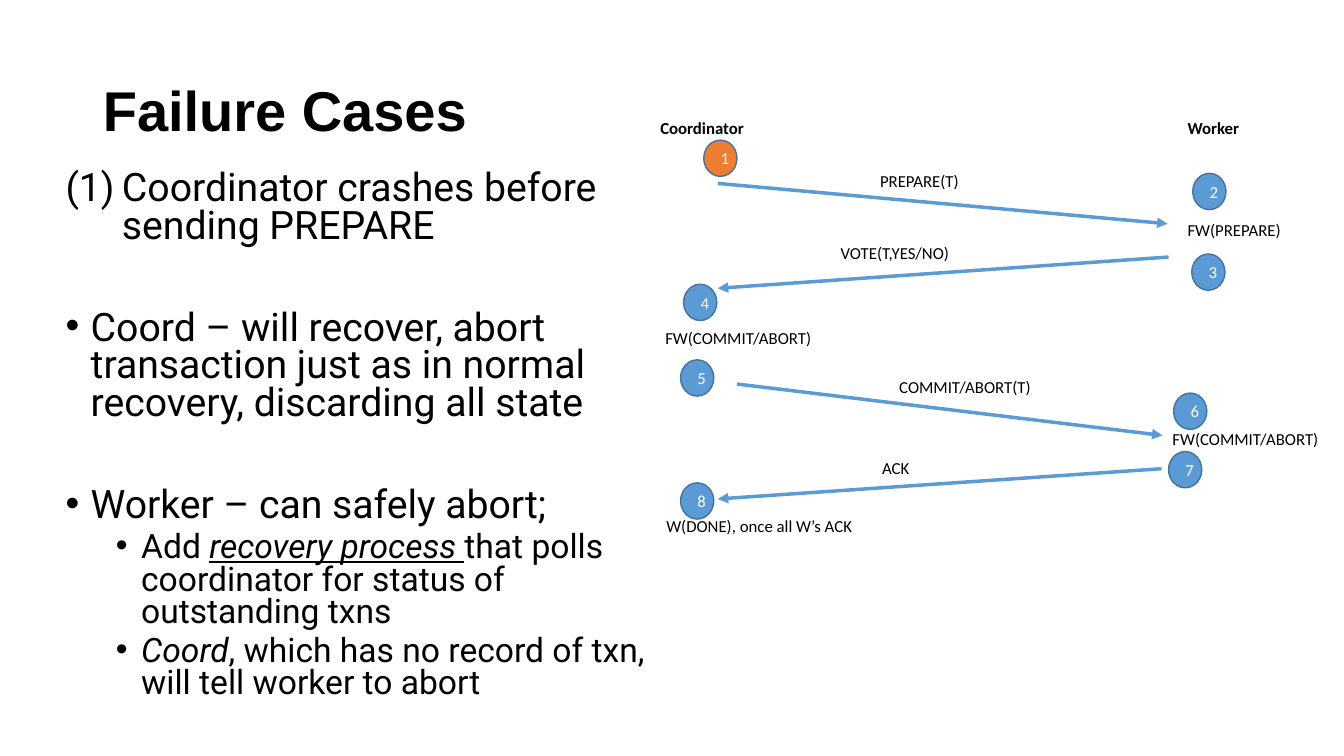
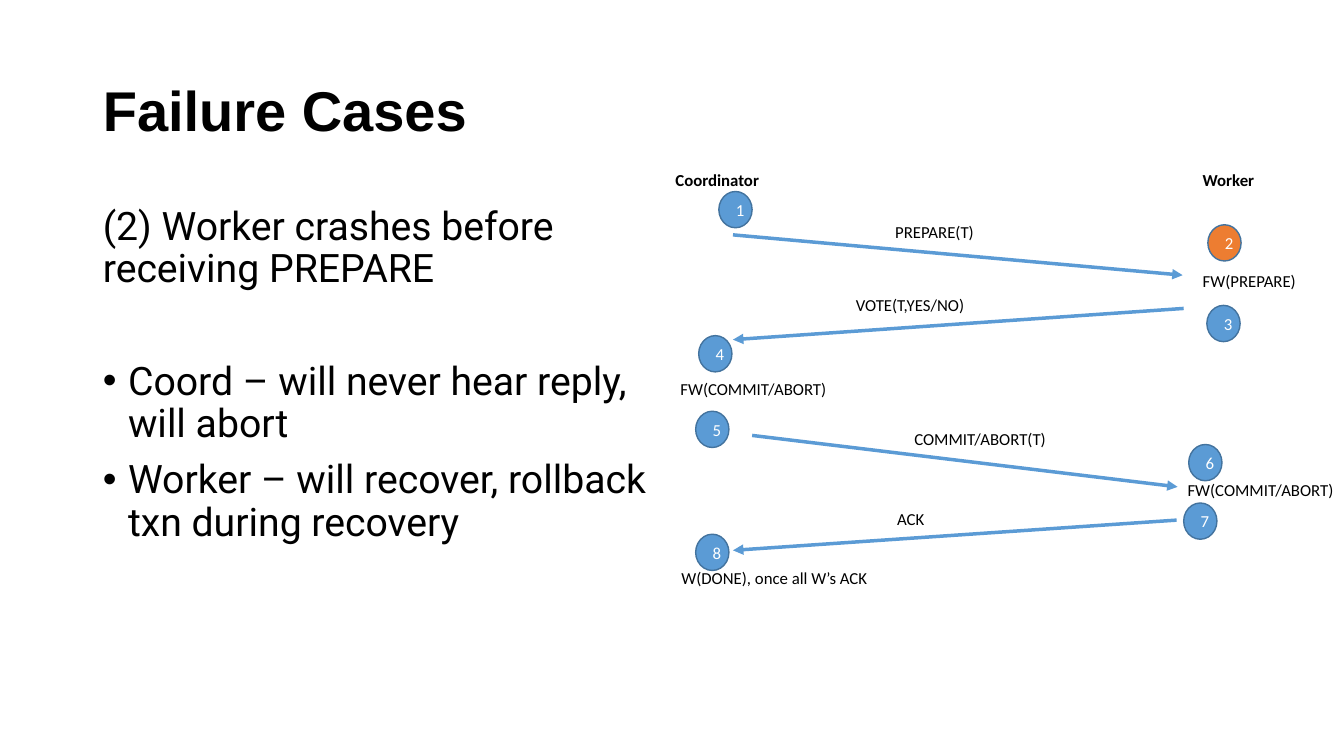
"""Build two slides on failure cases in two-phase commit."""
from dataclasses import dataclass

from lxml import etree
from pptx import Presentation
from pptx.dml.color import RGBColor
from pptx.enum import shapes, text
from pptx.oxml import ns
from pptx.util import Inches, Pt


@dataclass(frozen=True)
class Theme:
    ink: RGBColor = RGBColor(0, 0, 0)
    white: RGBColor = RGBColor(255, 255, 255)
    blue: RGBColor = RGBColor.from_string("5B9BD5")
    edge: RGBColor = RGBColor.from_string("43739E")
    failed: RGBColor = RGBColor.from_string("ED7D31")
    title_font: str = "Arial"
    body_font: str = "Roboto"
    label_font: str = "Calibri"
    title_size: int = 40
    body_sizes: tuple = (28, 24)
    label_size: int = 12


THEME = Theme()
TITLE = "Failure Cases"
TITLE_BOX = (0.92, 0.4, 11.5, 1.45)

NUMBER = ("buAutoNum", {"type": "arabicParenBoth"})
BULLET = ("buChar", {"char": "•"})
PLAIN = ("buNone", {})

# Each paragraph: level, marker, left margin, hanging indent, space before, runs.
SLIDES = [
    {
        "body_box": (0.55, 1.65, 6.23, 5.64),
        "line_spacing": 0.8,
        "origin": (6.45, 1.12),
        "failed_step": 1,
        "body": [
            (0, NUMBER, 0.56, 0.56, 10, [("Coordinator crashes before sending PREPARE", "")]),
            (0, BULLET, 0.25, 0.25, 46, [
                ("Coord – will recover, abort transaction just as in normal recovery, discarding all state", "")]),
            (0, BULLET, 0.25, 0.25, 46, [("Worker – can safely abort;", "")]),
            (1, BULLET, 0.75, 0.25, 5, [
                ("Add ", ""), ("recovery process ", "iu"),
                ("that polls coordinator for status of outstanding txns", "")]),
            (1, BULLET, 0.75, 0.25, 5, [
                ("Coord", "i"), (", which has no record of txn, will tell worker to abort", "")]),
        ],
    },
    {
        "body_box": (0.92, 2, 5.75, 4.76),
        "line_spacing": 0.9,
        "origin": (6.6, 1.63),
        "failed_step": 2,
        "body": [
            (0, PLAIN, 0, 0, 10, [("(2) Worker crashes before receiving PREPARE", "")]),
            (0, BULLET, 0.25, 0.25, 50, [("Coord – will never hear reply, will abort", "")]),
            (0, BULLET, 0.25, 0.25, 10, [("Worker – will recover, rollback txn during recovery", "")]),
        ],
    },
]

# Diagram positions are offsets from each slide's origin.
LABELS = [
    ("Coordinator", 0, 0, 2.08, True),
    ("Worker", 5.23, 0, 1.04, True),
    ("PREPARE(T)", 2.18, 0.52, 2.04, False),
    ("FW(PREPARE)", 5.23, 1.01, 1.2, False),
    ("VOTE(T,YES/NO)", 1.79, 1.24, 2.04, False),
    ("FW(COMMIT/ABORT)", 0.05, 2.08, 2.04, False),
    ("COMMIT/ABORT(T)", 2.37, 2.57, 1.85, False),
    ("FW(COMMIT/ABORT)", 5.08, 3.08, 1.66, False),
    ("W(DONE), once all W’s ACK", 0.06, 3.95, 2.49, False),
    ("ACK", 2.2, 3.37, 1.85, False),
]
MESSAGES = [
    (0.67, 0.7, 5.13, 1.1),
    (5.14, 1.43, 0.67, 1.74),
    (0.86, 2.69, 5.08, 3.2),
    (5.07, 3.53, 0.67, 3.83),
]
STEPS = [
    (0.53, 0.27), (5.38, 0.6), (5.37, 1.4), (0.33, 1.7),
    (0.3, 2.45), (5.19, 2.78), (5.14, 3.36), (0.3, 3.67),
]
STEP_SIZE = (0.33, 0.36)
LABEL_HEIGHT = 0.3


def inches(values):
    return [Inches(v) for v in values]


def place(shape, box):
    shape.left, shape.top, shape.width, shape.height = inches(box)
    shape.text_frame.auto_size = text.MSO_AUTO_SIZE.NONE
    shape.text_frame.word_wrap = True


def set_font(p, name, size, color, bold=False):
    p.font.name, p.font.size, p.font.bold = name, Pt(size), bold
    p.font.color.rgb = color


def set_marker(p, marker, margin, hanging):
    props = p._p.get_or_add_pPr()
    props.set("marL", str(Inches(margin)))
    props.set("indent", str(-Inches(hanging)))
    tag, attributes = marker
    etree.SubElement(props, ns.qn("a:" + tag), attributes)


def add_title(s):
    title = s.shapes.title
    place(title, TITLE_BOX)
    title.text_frame.vertical_anchor = text.MSO_ANCHOR.MIDDLE
    p = title.text_frame.paragraphs[0]
    p.text, p.alignment, p.line_spacing = TITLE, text.PP_ALIGN.LEFT, 0.9
    set_font(p, THEME.title_font, THEME.title_size, THEME.ink, True)


def add_body(s, content):
    body = s.placeholders[1]
    place(body, content["body_box"])
    tf = body.text_frame
    for i, (level, marker, margin, hanging, before, runs) in enumerate(content["body"]):
        p = tf.add_paragraph() if i else tf.paragraphs[0]
        p.level, p.line_spacing, p.space_before = level, content["line_spacing"], Pt(before)
        set_marker(p, marker, margin, hanging)
        set_font(p, THEME.body_font, THEME.body_sizes[level], THEME.ink)
        for words, style in runs:
            r = p.add_run()
            r.text = words
            if "i" in style:
                r.font.italic = True
            if "u" in style:
                r.font.underline = True


def add_label(s, words, x, y, width, bold):
    box = s.shapes.add_textbox(*inches((x, y, width, LABEL_HEIGHT)))
    box.text_frame.word_wrap = True
    p = box.text_frame.paragraphs[0]
    p.text = words
    set_font(p, THEME.label_font, THEME.label_size, THEME.ink, bold)


def add_message(s, *ends):
    arrow = s.shapes.add_connector(shapes.MSO_CONNECTOR.STRAIGHT, *inches(ends))
    arrow.line.color.rgb, arrow.line.width = THEME.blue, Pt(2.5)
    etree.SubElement(arrow.line._get_or_add_ln(), ns.qn("a:tailEnd"), type="triangle")
    etree.SubElement(arrow._element.spPr, ns.qn("a:effectLst"))


def add_step(s, number, x, y, fill):
    step = s.shapes.add_shape(shapes.MSO_SHAPE.OVAL, *inches((x, y, *STEP_SIZE)))
    step.shadow.inherit = False
    step.fill.solid()
    step.fill.fore_color.rgb = fill
    step.line.color.rgb, step.line.width = THEME.edge, Pt(1)
    tf = step.text_frame
    tf.margin_left, tf.margin_right = Inches(0.12), Inches(0.07)
    tf.vertical_anchor = text.MSO_ANCHOR.MIDDLE
    p = tf.paragraphs[0]
    p.text, p.alignment = str(number), text.PP_ALIGN.CENTER
    set_font(p, THEME.label_font, THEME.label_size, THEME.white)


def add_diagram(s, origin, failed_step):
    ox, oy = origin
    for words, x, y, width, bold in LABELS:
        add_label(s, words, ox + x, oy + y, width, bold)
    for x1, y1, x2, y2 in MESSAGES:
        add_message(s, ox + x1, oy + y1, ox + x2, oy + y2)
    for number, (x, y) in enumerate(STEPS, 1):
        fill = THEME.failed if number == failed_step else THEME.blue
        add_step(s, number, ox + x, oy + y, fill)


def main():
    prs = Presentation()
    prs.slide_width, prs.slide_height = Inches(13.33), Inches(7.5)
    for content in SLIDES:
        s = prs.slides.add_slide(prs.slide_layouts[1])
        add_title(s)
        add_body(s, content)
        add_diagram(s, content["origin"], content["failed_step"])
    prs.save("out.pptx")


if __name__ == "__main__":
    main()
